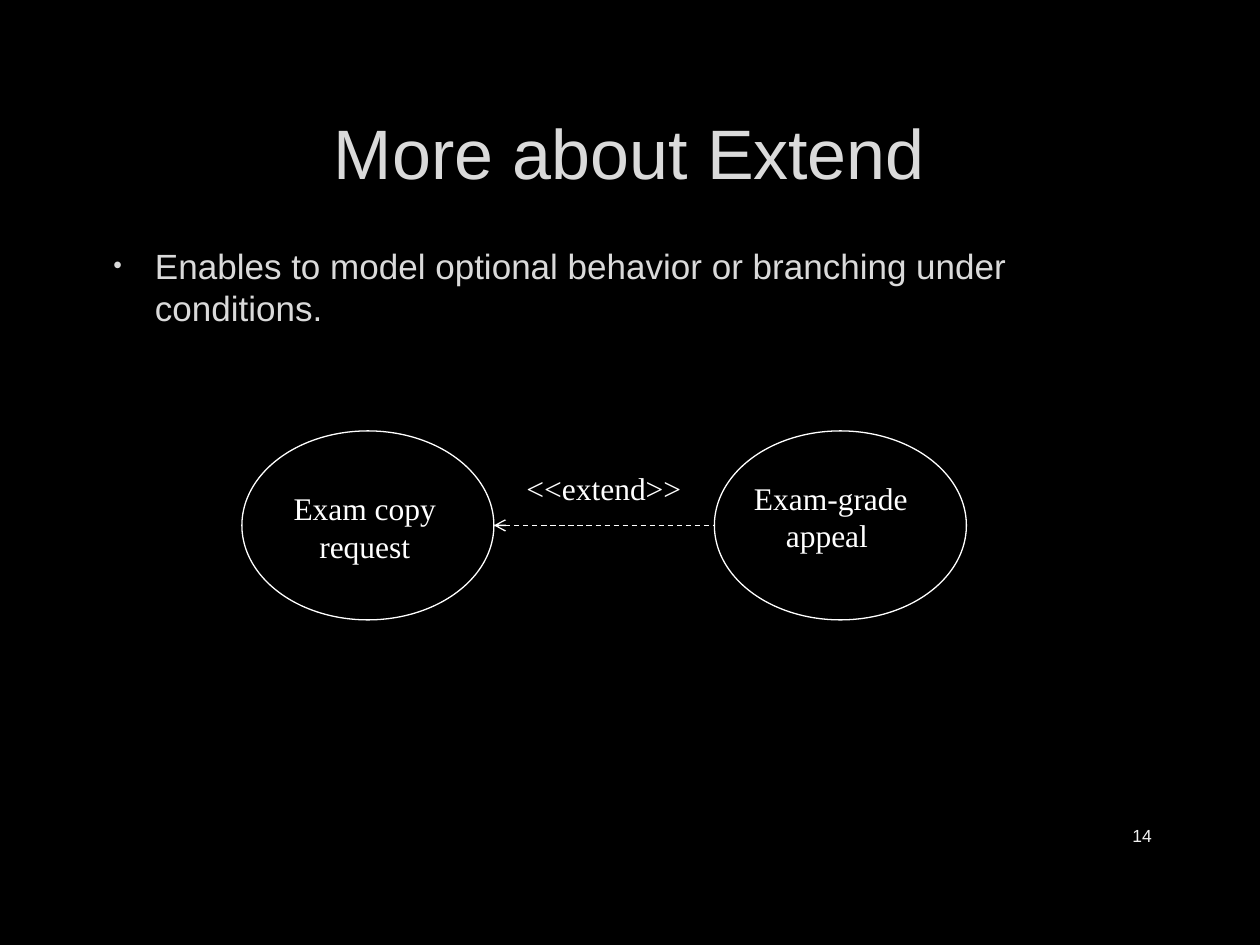
from lxml import etree
from pptx import Presentation
from pptx.dml.color import RGBColor
from pptx.enum.dml import MSO_LINE
from pptx.enum.shapes import MSO_CONNECTOR, MSO_SHAPE
from pptx.enum.text import MSO_ANCHOR, MSO_AUTO_SIZE, PP_ALIGN
from pptx.oxml.ns import qn
from pptx.util import Inches, Pt

BLACK = RGBColor(0x00, 0x00, 0x00)
WHITE = RGBColor(0xFF, 0xFF, 0xFF)
SILVER = RGBColor(0xDA, 0xDA, 0xDA)
PALE = RGBColor(0xF2, 0xF2, 0xF2)

LEFT, CENTER, RIGHT = PP_ALIGN.LEFT, PP_ALIGN.CENTER, PP_ALIGN.RIGHT
TOP, MIDDLE = MSO_ANCHOR.TOP, MSO_ANCHOR.MIDDLE
NO_FIT = MSO_AUTO_SIZE.NONE
OVAL, STRAIGHT, DASH = MSO_SHAPE.OVAL, MSO_CONNECTOR.STRAIGHT, MSO_LINE.DASH

TITLE_FONT = {"name": "Arial", "size": Pt(40), "color": SILVER}
BODY_FONT = {"name": "Arial", "size": Pt(20), "color": SILVER}
NUMBER_FONT = {"name": "Arial", "size": Pt(10), "color": PALE}
DIAGRAM_FONT = {"name": "Times New Roman", "size": Pt(18), "color": WHITE}

# Use case ovals share one size and one row
OVAL_WIDTH, OVAL_HEIGHT, OVAL_TOP = 2, 1.5, 3.42
COPY_LEFT, APPEAL_LEFT = 1.92, 5.67


def place(shape, left, top, width, height):
    bounds = {"left": left, "top": top, "width": width, "height": height}
    for name, value in bounds.items():
        setattr(shape, name, Inches(value))


def write(shape, text, font, align=LEFT, anchor=TOP, wrap=True):
    """Fill a shape with one formatted paragraph."""
    frame = shape.text_frame
    frame.text = text
    frame.auto_size = NO_FIT
    frame.word_wrap = wrap
    frame.vertical_anchor = anchor
    para = frame.paragraphs[0]
    para.alignment = align
    para.space_before = Pt(0)
    span = para.runs[0]
    for name, value in font.items():
        if name == "color":
            span.font.color.rgb = value
        else:
            setattr(span.font, name, value)
    return para


def add_bullet(para):
    """Give a paragraph a small hanging bullet."""
    properties = para._p.get_or_add_pPr()
    properties.set("marL", str(Inches(0.38)))
    properties.set("indent", str(Inches(-0.33)))
    color = etree.SubElement(properties, qn("a:buClr"))
    etree.SubElement(color, qn("a:srgbClr"), val=str(SILVER))
    etree.SubElement(properties, qn("a:buSzPct"), val="70000")
    etree.SubElement(properties, qn("a:buFont"), typeface="Arial")
    etree.SubElement(properties, qn("a:buChar"), char="•")


def add_label(shapes, bounds, text, font, **layout):
    box = shapes.add_textbox(*map(Inches, bounds))
    write(box, text, font, **layout)


def add_use_case(shapes, left, label_bounds, text):
    oval = shapes.add_shape(OVAL, Inches(left), Inches(OVAL_TOP),
                            Inches(OVAL_WIDTH), Inches(OVAL_HEIGHT))
    oval.shadow.inherit = False
    oval.fill.background()
    oval.line.color.rgb = WHITE
    oval.line.width = Pt(0.75)
    add_label(shapes, label_bounds, text, DIAGRAM_FONT, align=CENTER)


def add_dashed_arrow(shapes, start, end, height):
    """Draw a level dashed line with an open arrowhead at its start."""
    arrow = shapes.add_connector(STRAIGHT, Inches(start), Inches(height),
                                 Inches(end), Inches(height))
    arrow.line.color.rgb = WHITE
    arrow.line.width = Pt(0.75)
    arrow.line.dash_style = DASH
    etree.SubElement(arrow.line._get_or_add_ln(), qn("a:headEnd"), type="arrow")
    etree.SubElement(arrow._element.spPr, qn("a:effectLst"))


def main():
    deck = Presentation()
    deck.slide_width, deck.slide_height = Inches(10), Inches(7.5)
    page = deck.slides.add_slide(deck.slide_layouts[1])
    page.background.fill.solid()
    page.background.fill.fore_color.rgb = BLACK

    # Title and list
    title, body = page.placeholders
    place(title, 0.75, 0.67, 8.49, 1.06)
    write(title, "More about Extend", TITLE_FONT, align=CENTER, anchor=MIDDLE)
    place(body, 0.75, 1.89, 8.49, 4.44)
    para = write(body, "Enables to model optional behavior or branching under "
                       "conditions.", BODY_FONT)
    para.space_after = Pt(6)
    add_bullet(para)

    # Page number
    add_label(page.shapes, (8.62, 6.43, 0.62, 0.4), "14", NUMBER_FONT,
              align=RIGHT, anchor=MIDDLE)

    # Use case diagram
    diagram = page.shapes.add_group_shape().shapes
    add_use_case(diagram, COPY_LEFT, (2.17, 3.83, 1.45, 0.7),
                 "Exam copy request")
    add_use_case(diagram, APPEAL_LEFT, (5.83, 3.75, 1.53, 0.7),
                 "Exam-grade appeal ")
    add_dashed_arrow(diagram, COPY_LEFT + OVAL_WIDTH, APPEAL_LEFT,
                     OVAL_TOP + OVAL_HEIGHT / 2)
    add_label(diagram, (4.08, 3.67, 1.43, 0.4), "<<extend>>", DIAGRAM_FONT,
              wrap=False)

    deck.save("out.pptx")


if __name__ == "__main__":
    main()
